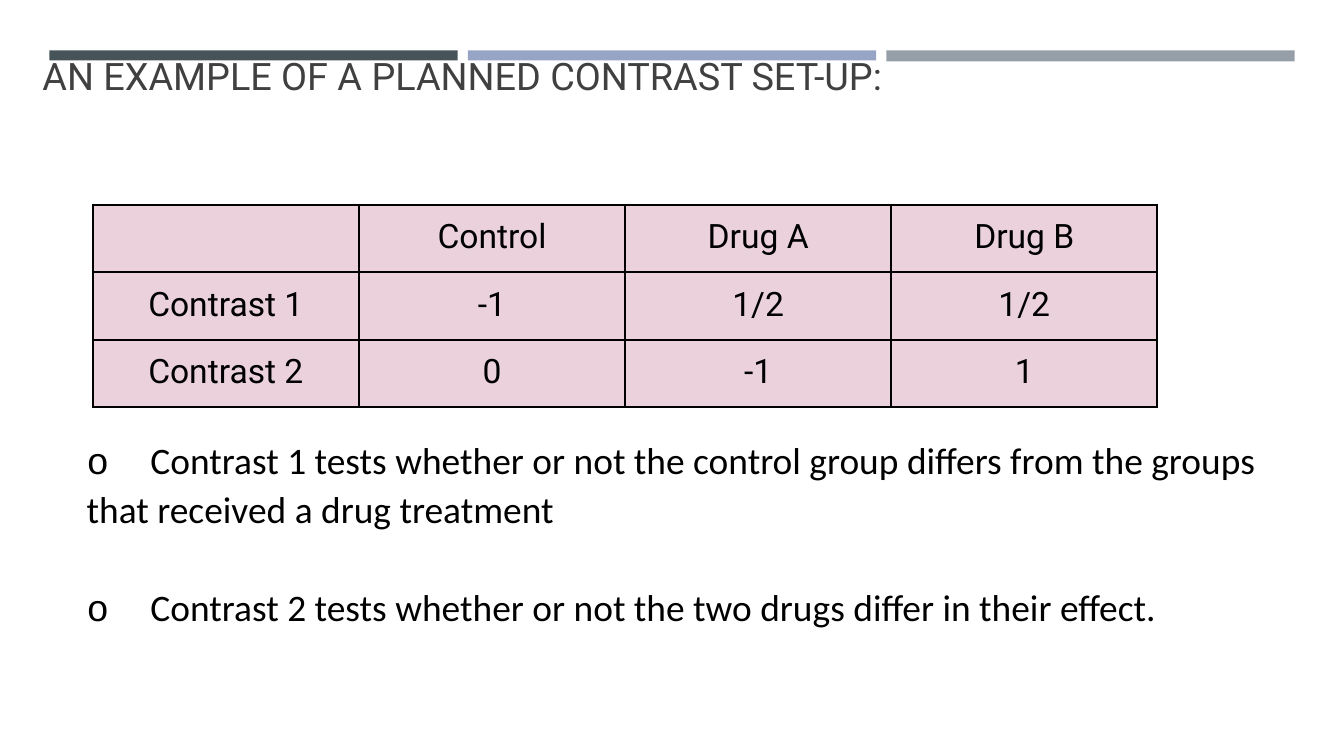
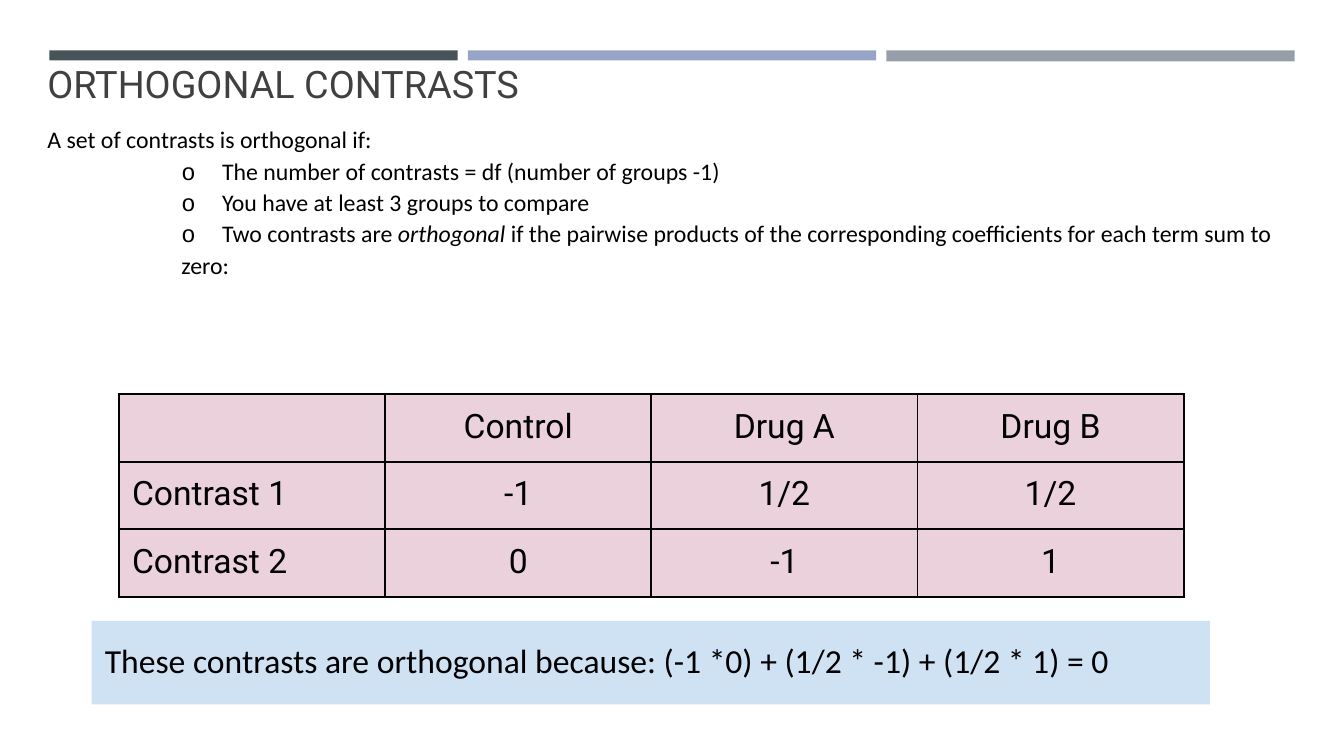
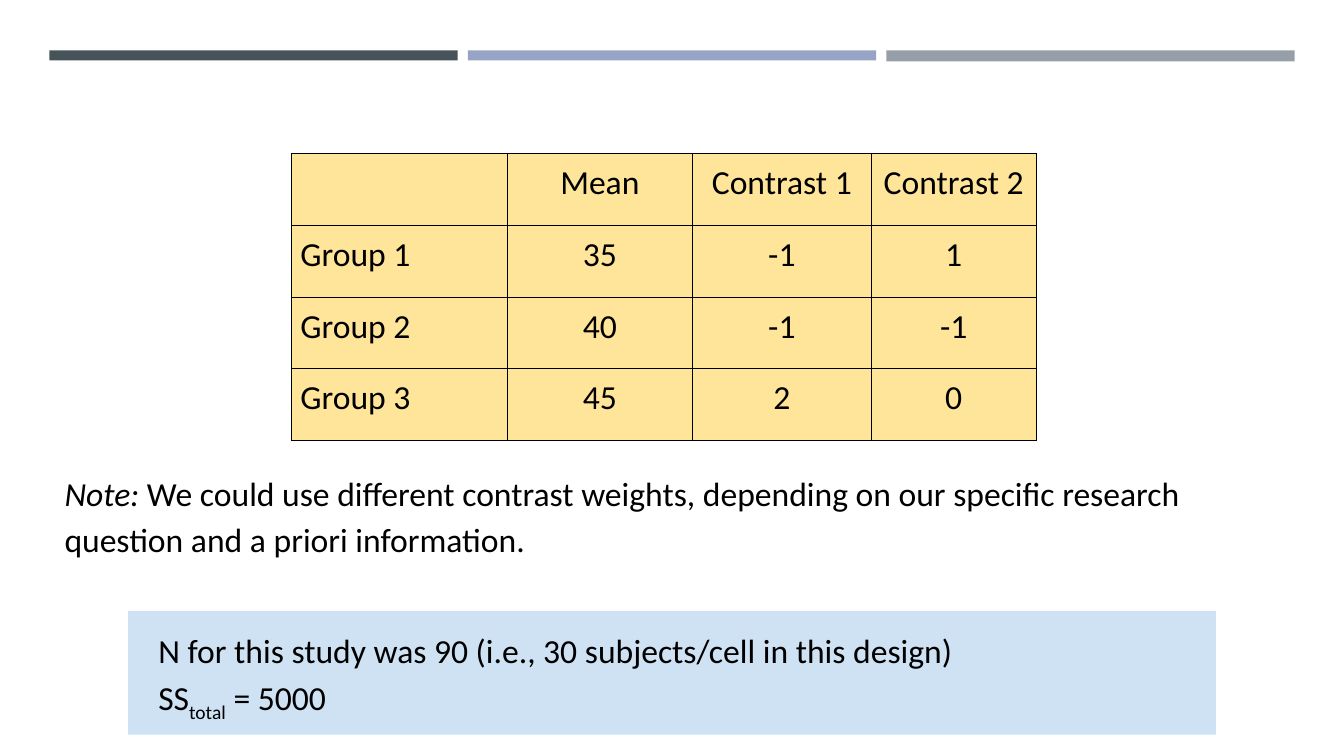
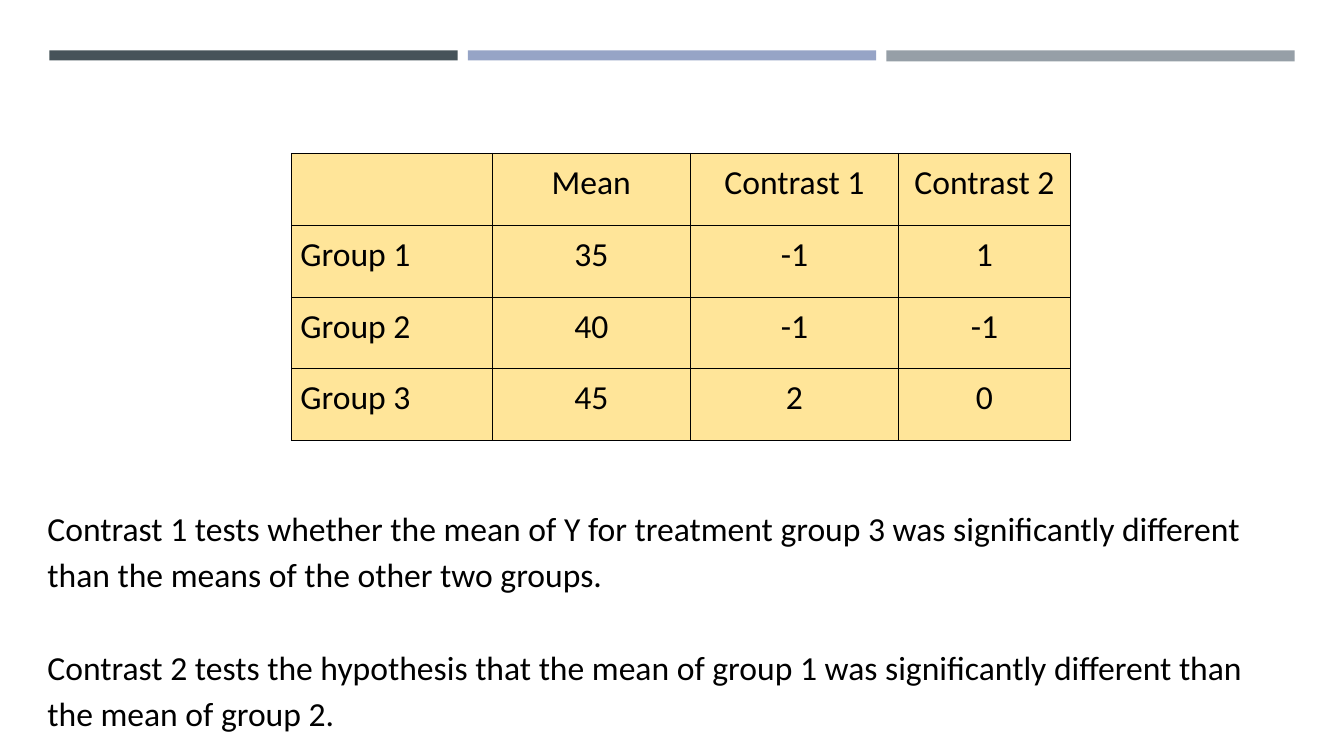
from dataclasses import dataclass
from typing import NamedTuple

from lxml.etree import SubElement
from pptx import Presentation
from pptx.dml.color import RGBColor
from pptx.enum.shapes import MSO_SHAPE
from pptx.enum.text import MSO_ANCHOR, PP_ALIGN
from pptx.oxml.ns import qn
from pptx.util import Emu, Pt

PX = 9144  # EMU per px, 100 px to the inch

BLACK = RGBColor(0x00, 0x00, 0x00)
TITLE_GREY = RGBColor(0x40, 0x40, 0x40)
SLATE = RGBColor(0x46, 0x53, 0x59)
PERIWINKLE = RGBColor(0x96, 0xA4, 0xC6)
SILVER = RGBColor(0x96, 0x9F, 0xA7)
PINK = RGBColor(0xEA, 0xD1, 0xDC)
YELLOW = RGBColor(0xFF, 0xE5, 0x99)
PALE_BLUE = RGBColor(0xCF, 0xE2, 0xF3)

BODY_FONT, TITLE_FONT, BULLET_FONT = "Calibri", "Roboto", "Courier New"
INSET = 13
BAND_LEFT, BAND_TOP, BAND_WIDTH, BAND_PITCH = 49, 50, 405, 415
BANDS = [(SLATE, 10), (PERIWINKLE, 10), (SILVER, 11)]


class Box(NamedTuple):
    left: int
    top: int
    width: int
    height: int


class Span(NamedTuple):
    text: str
    italic: bool = False
    subscript: bool = False


@dataclass
class Para:
    spans: list[Span]
    margin: int = 0
    indent: int = 0
    bullet: bool = False
    before: int = 0


@dataclass
class TextStyle:
    size: float
    spacing: float
    font: str = BODY_FONT
    color: RGBColor = BLACK


@dataclass
class TableStyle:
    fill: RGBColor
    font: str
    inset: int
    border: float
    row_heights: list[int]


TITLE = TextStyle(27, 0.9, TITLE_FONT, TITLE_GREY)
LARGE_BODY = TextStyle(26.7, 1.1)
SMALL_BODY = TextStyle(17, 1.1)
NOTE = TextStyle(24, 1.15)

DRUG_STYLE = TableStyle(PINK, TITLE_FONT, 13, 1.5, [67, 67, 67])
GROUP_STYLE = TableStyle(YELLOW, BODY_FONT, 9, 0.75, [72, 71, 71, 71])
DRUG_COLS = [264] * 4

DRUG_ROWS = [
    ["", "Control", "Drug A", "Drug B"],
    ["Contrast 1", "-1", "1/2", "1/2"],
    ["Contrast 2", "0", "-1", "1"],
]
GROUP_ROWS = [
    ["", "Mean", "Contrast 1", "Contrast 2"],
    ["Group 1", "35", "-1", "1"],
    ["Group 2", "40", "-1", "-1"],
    ["Group 3", "45", "2", "0"],
]


def px(n: int) -> Emu:
    return Emu(n * PX)


def place(box: Box) -> list[Emu]:
    return [px(n) for n in box]


def plain(text: str, **kwargs) -> Para:
    return Para([Span(text)], **kwargs)


def add_run(p, text: str, size: float, font: str, color: RGBColor):
    r = p.add_run()
    r.text = text
    r.font.size, r.font.name = Pt(size), font
    r.font.color.rgb = color
    return r


def write(tf, paras: list[Para], style: TextStyle) -> None:
    tf.word_wrap = True
    tf.vertical_anchor = MSO_ANCHOR.TOP
    tf.margin_left = tf.margin_right = tf.margin_top = tf.margin_bottom = px(INSET)
    for i, para in enumerate(paras):
        p = tf.add_paragraph() if i else tf.paragraphs[0]
        p.alignment = PP_ALIGN.LEFT
        p.line_spacing, p.space_before = style.spacing, Pt(para.before)
        pPr = p._p.get_or_add_pPr()
        pPr.set("marL", str(px(para.margin)))
        pPr.set("indent", str(px(para.indent)))
        if para.bullet:
            # Wrapped lines return to the marker, so it is spaced out within the line
            r = add_run(p, "o ", style.size, BULLET_FONT, style.color)
            r._r.get_or_add_rPr().set("spc", str(round(style.size * 25)))
        for span in para.spans:
            r = add_run(p, span.text, style.size, style.font, style.color)
            r.font.italic = span.italic
            if span.subscript:
                r._r.get_or_add_rPr().set("baseline", "-25000")


def add_text(s, box: Box, paras: list[Para], style: TextStyle) -> None:
    write(s.shapes.add_textbox(*place(box)).text_frame, paras, style)


def add_rect(s, box: Box, fill: RGBColor):
    sp = s.shapes.add_shape(MSO_SHAPE.RECTANGLE, *place(box))
    sp.shadow.inherit = False
    sp.fill.solid()
    sp.fill.fore_color.rgb = fill
    sp.line.fill.background()
    return sp


def add_callout(s, box: Box, paras: list[Para]) -> None:
    write(add_rect(s, box, PALE_BLUE).text_frame, paras, NOTE)


def set_borders(cell, width: float) -> None:
    tcPr = cell._tc.get_or_add_tcPr()
    for i, side in enumerate(("lnL", "lnR", "lnT", "lnB")):
        ln = SubElement(tcPr, qn(f"a:{side}"), w=str(Pt(width)))
        fill = SubElement(ln, qn("a:solidFill"))
        SubElement(fill, qn("a:srgbClr"), val=str(BLACK))
        tcPr.insert(i, ln)  # borders come before the fill


def add_grid(s, left: int, top: int, cols: list[int], rows: list[list[str]],
             style: TableStyle, label_align=PP_ALIGN.LEFT) -> None:
    box = Box(left, top, sum(cols), sum(style.row_heights))
    table = s.shapes.add_table(len(rows), len(cols), *place(box)).table
    table.first_row = table.horz_banding = False
    for col, width in zip(table.columns, cols):
        col.width = px(width)
    for row, height, texts in zip(table.rows, style.row_heights, rows):
        row.height = px(height)
        for c, (cell, text) in enumerate(zip(row.cells, texts)):
            cell.fill.solid()
            cell.fill.fore_color.rgb = style.fill
            set_borders(cell, style.border)
            cell.margin_left = cell.margin_right = px(style.inset)
            cell.margin_top = cell.margin_bottom = px(style.inset)
            p = cell.text_frame.paragraphs[0]
            p.alignment = PP_ALIGN.CENTER if c else label_align
            if text:
                add_run(p, text, 24, style.font, BLACK)


def new_slide(prs):
    """Add a blank slide carrying the three bands."""
    s = prs.slides.add_slide(prs.slide_layouts[6])
    for i, (color, height) in enumerate(BANDS):
        add_rect(s, Box(BAND_LEFT + i * BAND_PITCH, BAND_TOP, BAND_WIDTH, height), color)
    return s


def build_planned_contrast(prs) -> None:
    s = new_slide(prs)
    add_text(s, Box(29, 44, 1242, 84),
             [plain("AN EXAMPLE OF A PLANNED CONTRAST SET-UP:")], TITLE)
    add_text(s, Box(6, 416, 1266, 289), [
        plain("Contrast 1 tests whether or not the control group differs from the groups "
              "that received a drug treatment", margin=67, bullet=True),
        plain("Contrast 2 tests whether or not the two drugs differ in their effect.",
              margin=67, bullet=True, before=35),
    ], LARGE_BODY)
    add_grid(s, 92, 203, DRUG_COLS, DRUG_ROWS, DRUG_STYLE, PP_ALIGN.CENTER)


def build_orthogonal(prs) -> None:
    s = new_slide(prs)
    add_text(s, Box(34, 52, 1242, 84), [plain("ORTHOGONAL CONTRASTS")], TITLE)
    conditions = [
        [Span("The number of contrasts = df (number of groups -1)")],
        [Span("You have at least 3 groups to compare")],
        [Span("Two contrasts are "), Span("orthogonal ", italic=True),
         Span("if the pairwise products of the corresponding coefficients "
              "for each term sum to zero:")],
    ]
    add_text(s, Box(34, 108, 1242, 498),
             [plain("A set of contrasts is orthogonal if:")]
             + [Para(spans, margin=133, bullet=True) for spans in conditions],
             SMALL_BODY)
    add_grid(s, 118, 391, DRUG_COLS, DRUG_ROWS, DRUG_STYLE)
    add_callout(s, Box(91, 616, 1109, 83), [
        plain("These contrasts are orthogonal because: "
              "(-1 *0) + (1/2 * -1) + (1/2 * 1) = 0")])


def build_group_means(prs) -> None:
    s = new_slide(prs)
    add_grid(s, 289, 152, [214, 184, 177, 164], GROUP_ROWS, GROUP_STYLE)
    add_text(s, Box(51, 450, 1195, 83), [Para([
        Span("Note:", italic=True),
        Span(" We could use different contrast weights, depending on our specific "
             "research question and a priori information."),
    ])], NOTE)
    add_callout(s, Box(127, 606, 1079, 123), [
        plain("N for this study was 90 (i.e., 30 subjects/cell in this design)", indent=17),
        Para([Span("SS"), Span("total", subscript=True), Span(" = 5000")], indent=17),
    ])


def build_hypotheses(prs) -> None:
    s = new_slide(prs)
    add_grid(s, 289, 152, [199, 197, 206, 171], GROUP_ROWS, GROUP_STYLE)
    add_text(s, Box(34, 485, 1219, 83), [
        plain("Contrast 1 tests whether the mean of Y for treatment group 3 was "
              "significantly different than the means of the other two groups."),
        plain("Contrast 2 tests the hypothesis that the mean of group 1 was "
              "significantly different than the mean of group 2.", before=33),
    ], NOTE)


def main() -> None:
    prs = Presentation()
    prs.slide_width, prs.slide_height = px(1333), px(750)
    for build in (build_planned_contrast, build_orthogonal,
                  build_group_means, build_hypotheses):
        build(prs)
    prs.save("out.pptx")


if __name__ == "__main__":
    main()
